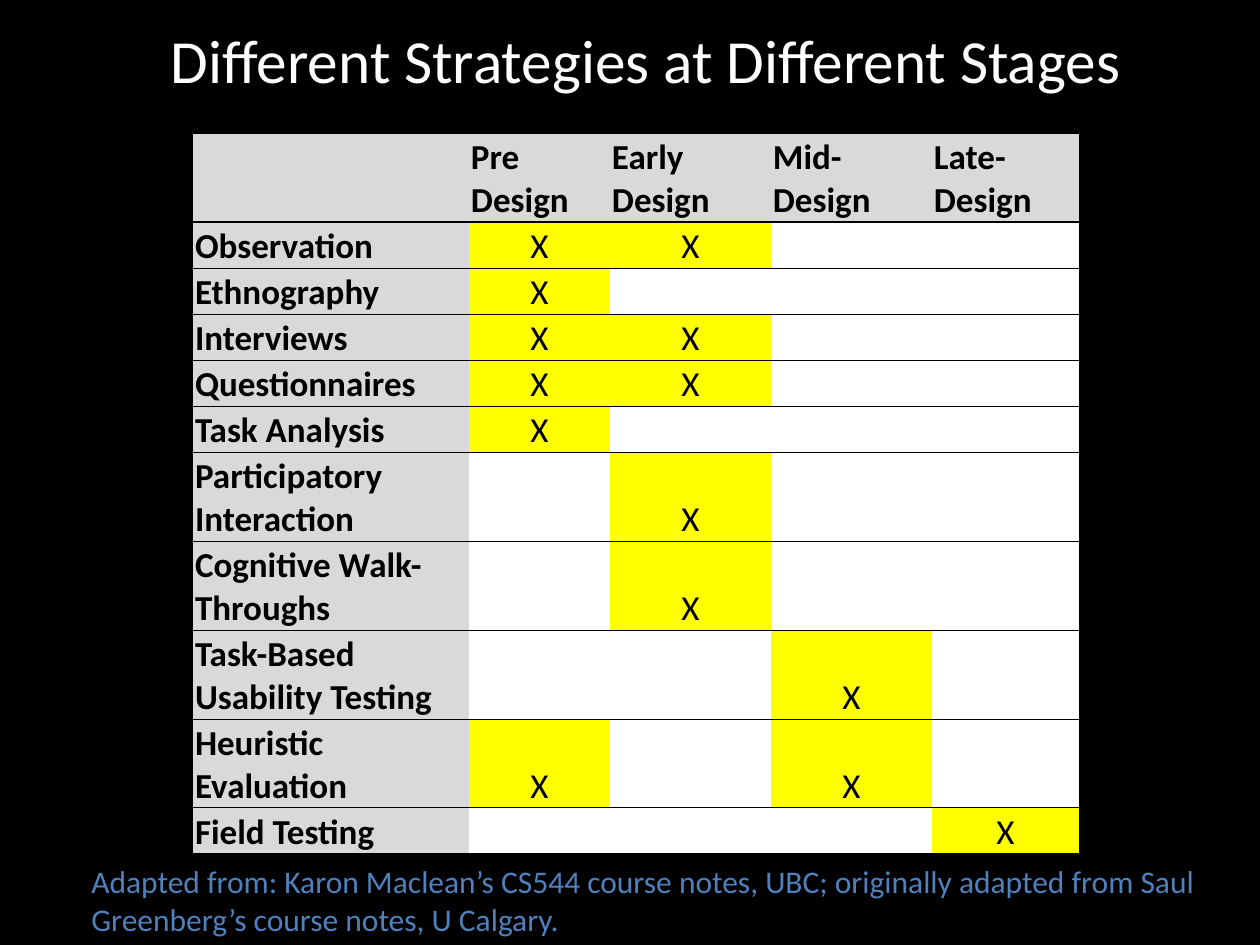
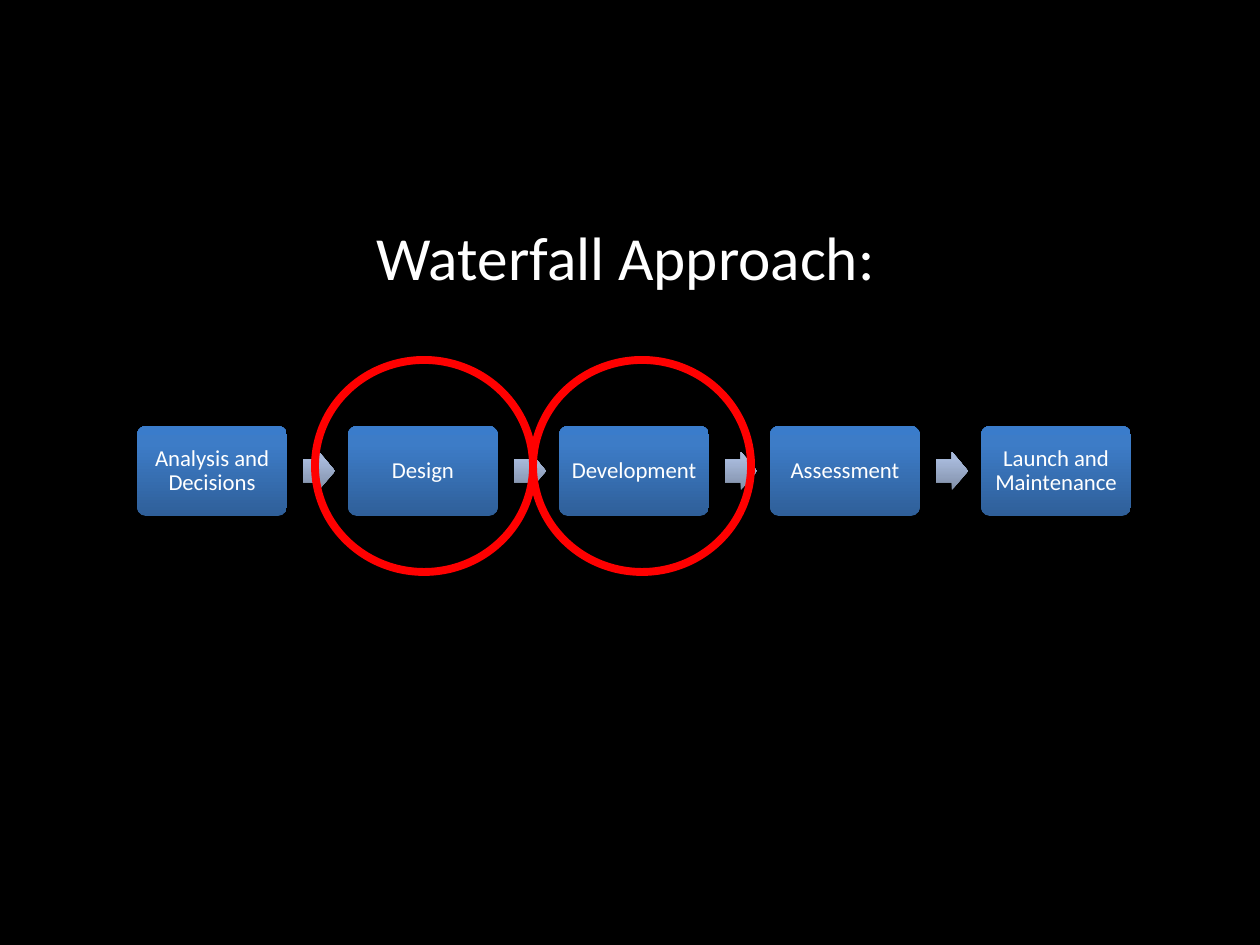
"""Build two slides: a table of design strategies by stage and a waterfall process."""
from dataclasses import dataclass

from lxml import etree
from pptx import Presentation
from pptx import util as u
from pptx.dml import color
from pptx.enum import shapes, text
from pptx.oxml import ns

SCALE = 914400 / 126
FONT = "Calibri"
TITLE_SIZE = 35
COLORS = {
    "background": "000000", "title": "FFFFFF", "ink": "000000", "note": "4F81BD",
    "label": "D9D9D9", "mark": "FFFF00", "empty": "FFFFFF", "ring": "FF0000",
}
BOX_GRADIENT = ((0, "2F5F99"), (80, "3D7CC7"), (100, "3A7CCB"))
ARROW_GRADIENT = ((0, "818FA8"), (80, "A7B9DA"), (100, "A7BADC"))
LEFT, CENTER = text.PP_ALIGN.LEFT, text.PP_ALIGN.CENTER
TOP, MIDDLE = text.MSO_ANCHOR.TOP, text.MSO_ANCHOR.MIDDLE


@dataclass
class Area:
    """A rectangle in pixels."""
    left: int
    top: int
    width: int
    height: int

    def emu(self) -> tuple:
        """Return the rectangle in EMU."""
        return tuple(px(n) for n in (self.left, self.top, self.width, self.height))


@dataclass
class Strategy:
    """A table row: its label, the stages it suits and its number of text lines."""
    label: str
    stages: tuple
    lines: int = 1


STAGES = ("Pre Design", "Early Design", "Mid-Design", "Late-Design")
STRATEGIES = (
    Strategy("Observation", (1, 2)),
    Strategy("Ethnography", (1,)),
    Strategy("Interviews", (1, 2)),
    Strategy("Questionnaires", (1, 2)),
    Strategy("Task Analysis", (1,)),
    Strategy("Participatory Interaction", (2,), 2),
    Strategy("Cognitive Walk-Throughs", (2,), 2),
    Strategy("Task-Based Usability Testing", (3,), 2),
    Strategy("Heuristic Evaluation", (1, 3), 2),
    Strategy("Field Testing", (4,)),
)
COLUMN_WIDTHS = (276, 141, 161, 161, 147)
LINE_HEIGHTS = {1: 46, 2: 89}
STEPS = ("Analysis and Decisions", "Design", "Development", "Assessment",
         "Launch and Maintenance")


def px(length: float) -> u.Emu:
    """Turn pixels into EMU."""
    return u.Emu(round(length * SCALE))


def rgb(name: str) -> color.RGBColor:
    """Look up a named colour."""
    return color.RGBColor.from_string(COLORS[name])


def write(frame, words: str, size: float, ink: str, align=LEFT, bold=False):
    """Put one formatted run in a text frame and return its paragraph."""
    para = frame.paragraphs[0]
    para.alignment = align
    span = para.add_run()
    span.text = words
    span.font.name = FONT
    span.font.size = u.Pt(size)
    span.font.bold = bold
    span.font.color.rgb = rgb(ink)
    return para


def add_page(deck, words: str, area: Area, align, anchor):
    """Add a title-only slide with its title placed."""
    page = deck.slides.add_slide(deck.slide_layouts[5])
    title = page.shapes.title
    title.left, title.top, title.width, title.height = area.emu()
    frame = title.text_frame
    frame.word_wrap = True
    frame.auto_size = text.MSO_AUTO_SIZE.NONE
    frame.vertical_anchor = anchor
    write(frame, words, TITLE_SIZE, "title", align)
    return page


def set_borders(cell, top: float, bottom: float) -> None:
    """Draw horizontal borders in points and clear the vertical ones."""
    properties = cell._tc.get_or_add_tcPr()
    for tag, width in (("a:lnL", 0), ("a:lnR", 0), ("a:lnT", top), ("a:lnB", bottom)):
        line = etree.SubElement(properties, ns.qn(tag), w=str(u.Pt(width)))
        if width:
            fill = etree.SubElement(line, ns.qn("a:solidFill"))
            etree.SubElement(fill, ns.qn("a:srgbClr"), val=COLORS["ink"])
        else:
            etree.SubElement(line, ns.qn("a:noFill"))


def fill_cell(cell, words: str, fill: str, header: bool, below_header: bool) -> None:
    """Format one table cell and write its text."""
    cell.margin_left = cell.margin_right = cell.margin_top = px(2)
    cell.margin_bottom = 0
    cell.vertical_anchor = text.MSO_ANCHOR.BOTTOM
    set_borders(cell, 1 if below_header else 0.5, 1 if header else 0.5)
    cell.fill.solid()
    cell.fill.fore_color.rgb = rgb(fill)
    if words:
        is_label = fill == "label"
        write(cell.text_frame, words, 20, "ink", LEFT if is_label else CENTER, is_label)


def add_strategy_table(page) -> None:
    """Add the table of strategies against design stages."""
    heights = [LINE_HEIGHTS[2]] + [LINE_HEIGHTS[row.lines] for row in STRATEGIES]
    area = Area(193, 133, sum(COLUMN_WIDTHS), sum(heights))
    table = page.shapes.add_table(len(heights), len(COLUMN_WIDTHS), *area.emu()).table
    table.first_row = table.horz_banding = False
    for column, width in zip(table.columns, COLUMN_WIDTHS):
        column.width = px(width)
    for row, height in zip(table.rows, heights):
        row.height = px(height)
    grid = [[("", "label")] + [(stage, "label") for stage in STAGES]]
    for strategy in STRATEGIES:
        marks = [("X", "mark") if n in strategy.stages else ("", "empty")
                 for n in range(1, len(STAGES) + 1)]
        grid.append([(strategy.label, "label")] + marks)
    for r, entries in enumerate(grid):
        for c, (words, fill) in enumerate(entries):
            fill_cell(table.cell(r, c), words, fill, r == 0, r == 1)


def add_note(page, words: str, area: Area) -> None:
    """Add the credit line under the table."""
    frame = page.shapes.add_textbox(*area.emu()).text_frame
    frame.word_wrap = True
    frame.auto_size = text.MSO_AUTO_SIZE.SHAPE_TO_FIT_TEXT
    write(frame, words, 18, "note")


def add_gradient_shape(page, kind, area: Area, stops: tuple, adjustments: tuple):
    """Add an outline-free shape whose gradient runs from bottom to top."""
    shape = page.shapes.add_shape(kind, *area.emu())
    shape.shadow.inherit = False
    shape.line.fill.background()
    for n, value in enumerate(adjustments):
        shape.adjustments[n] = value
    shape.fill.gradient()
    shape.fill.gradient_angle = 90
    stop_list = shape._element.spPr.find(".//" + ns.qn("a:gsLst"))
    for old in list(stop_list):
        stop_list.remove(old)
    for position, value in stops:
        stop = etree.SubElement(stop_list, ns.qn("a:gs"), pos=str(position * 1000))
        etree.SubElement(stop, ns.qn("a:srgbClr"), val=value)
    return shape


def add_step(page, words: str, left: int) -> None:
    """Add one labelled process box."""
    box = add_gradient_shape(page, shapes.MSO_SHAPE.ROUNDED_RECTANGLE,
                             Area(left, 426, 150, 90), BOX_GRADIENT, (0.1,))
    frame = box.text_frame
    frame.word_wrap = True
    frame.vertical_anchor = MIDDLE
    frame.margin_left = frame.margin_right = px(6)
    frame.margin_top = frame.margin_bottom = px(6)
    write(frame, words, 13, "title", CENTER).line_spacing = 0.9


def add_ring(page, left: int) -> None:
    """Add a highlight ring around a step."""
    ring = page.shapes.add_shape(shapes.MSO_SHAPE.OVAL, *Area(left, 360, 218, 212).emu())
    ring.shadow.inherit = False
    ring.fill.background()
    ring.line.color.rgb = rgb("ring")
    ring.line.width = u.Pt(4.5)


def add_process(page) -> None:
    """Add the chain of steps, its arrows and the two rings."""
    for n, words in enumerate(STEPS):
        left = 137 + 211 * n
        add_step(page, words, left)
        if n < len(STEPS) - 1:
            add_gradient_shape(page, shapes.MSO_SHAPE.RIGHT_ARROW,
                               Area(left + 166, 452, 32, 38), ARROW_GRADIENT, (0.6, 0.5))
    for n in range(2):
        add_ring(page, 315 + 218 * n)


def main() -> None:
    """Build and save the deck."""
    deck = Presentation()
    deck.slide_width, deck.slide_height = px(1260), px(945)
    background = deck.slide_master.background.fill
    background.solid()
    background.fore_color.rgb = rgb("background")

    page = add_page(deck, "Different Strategies at Different Stages",
                    Area(79, -20, 1134, 158), CENTER, MIDDLE)
    add_strategy_table(page)
    add_note(page, "Adapted from: Karon Maclean’s CS544 course notes, UBC; originally "
             "adapted from Saul Greenberg’s course notes, U Calgary.",
             Area(79, 856, 1157, 89))

    page = add_page(deck, "Waterfall Approach:", Area(364, 213, 646, 87), LEFT, TOP)
    add_process(page)
    deck.save("out.pptx")


main()
